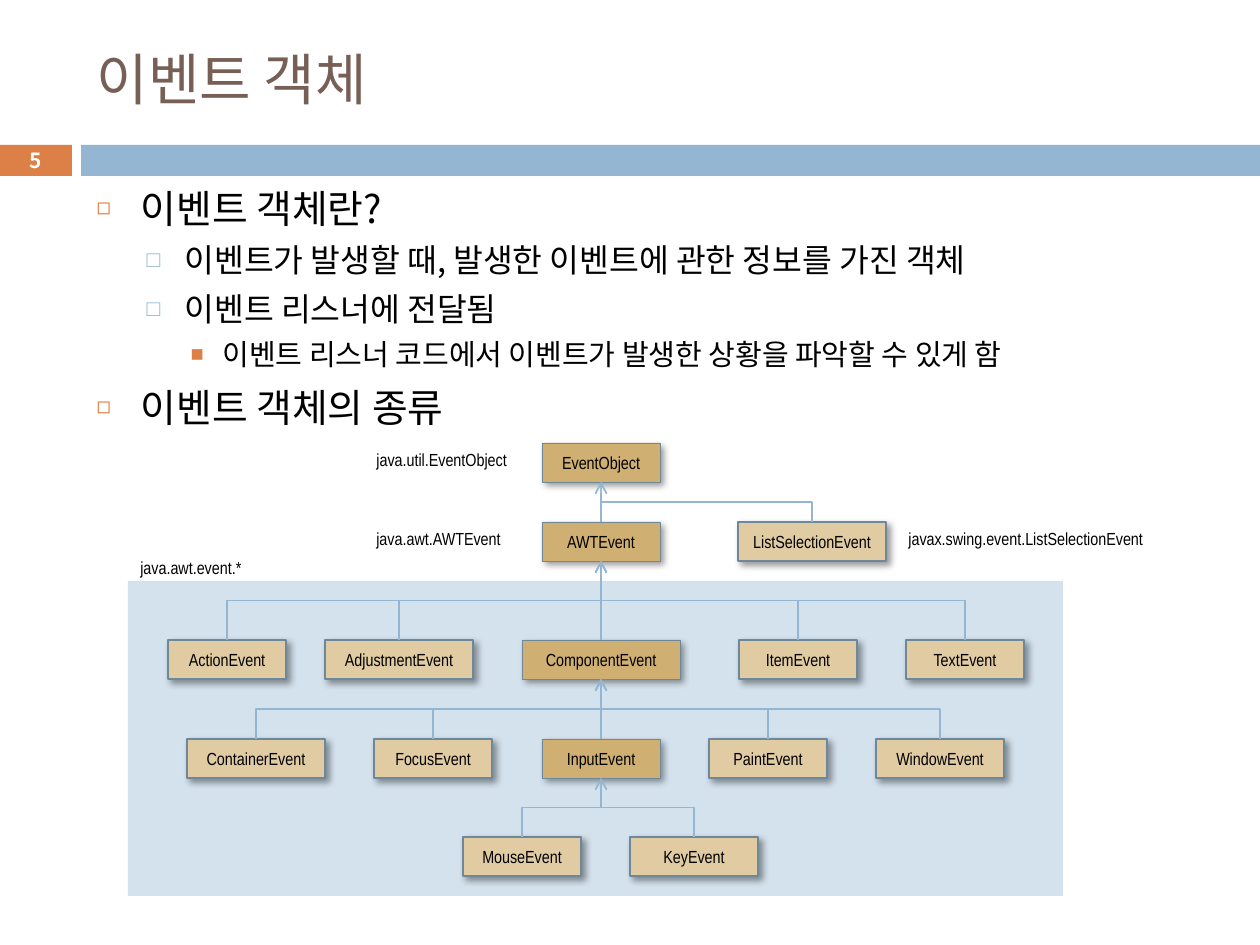
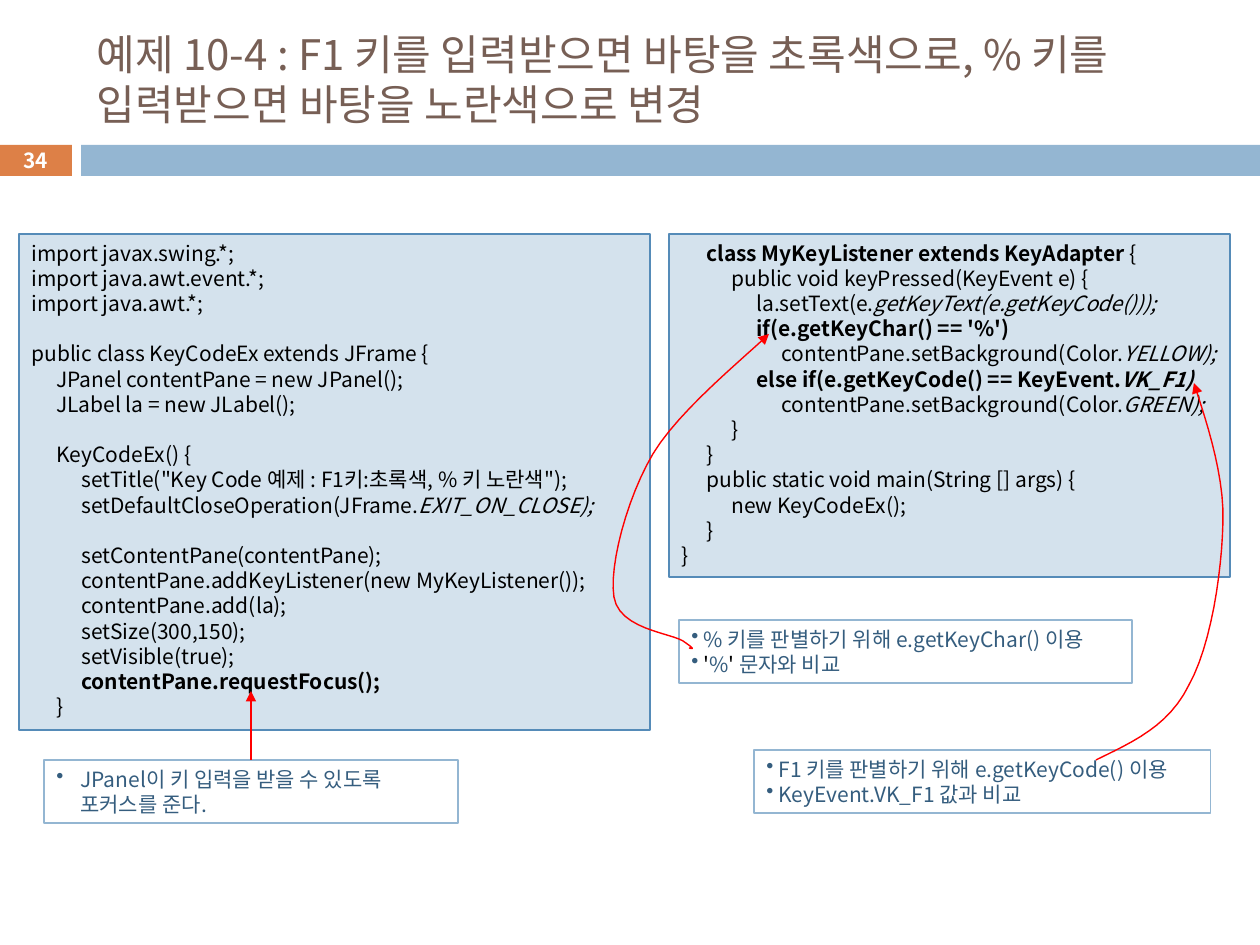
from dataclasses import dataclass

from lxml.etree import SubElement
from pptx import Presentation
from pptx.dml.color import RGBColor as RGB
from pptx.enum.shapes import MSO_CONNECTOR as LINK, MSO_SHAPE as SHAPE
from pptx.enum.text import MSO_ANCHOR as ANCHOR, MSO_AUTO_SIZE as FIT, PP_ALIGN as ALIGN
from pptx.oxml.ns import qn
from pptx.util import Pt

PX = 7257


@dataclass(frozen=True)
class Theme:
    sans: str = "Noto Sans CJK KR"
    narrow: str = "Arial Narrow"
    title: str = "775F55"
    text: str = "000000"
    white: str = "FFFFFF"
    orange: str = "DD8047"
    blue: str = "94B6D2"
    pale: str = "D4E2ED"
    code_edge: str = "558BB8"
    note: str = "355D7E"
    parent: str = "D0AF72"
    leaf: str = "E0CBA3"
    node_edge: str = "6D879B"
    red: str = "FF0000"
    number_size: float = 11.9
    node_size: float = 10
    code_size: float = 12
    list_sizes: tuple = (22.2, 18.5, 16.6)


T = Theme()


def box(s, x, y, w, h, fill=None, line=None, weight=0.75):
    sp = s.shapes.add_shape(SHAPE.RECTANGLE, x * PX, y * PX, w * PX, h * PX)
    sp.shadow.inherit = False
    if fill:
        sp.fill.solid()
        sp.fill.fore_color.rgb = RGB.from_string(fill)
    else:
        sp.fill.background()
    if line:
        sp.line.color.rgb = RGB.from_string(line)
        sp.line.width = Pt(weight)
    else:
        sp.line.fill.background()
    return sp


def write(p, runs, size, color=T.text, font=T.sans, align=ALIGN.LEFT):
    p.alignment = align
    p.line_spacing = Pt(size * 1.2)
    for text, style, *own in runs:
        r = p.add_run()
        r.text = text
        r.font.name = font
        r.font.size = Pt(size)
        r.font.bold = "b" in style
        r.font.italic = "i" in style
        r.font.color.rgb = RGB.from_string(own[0] if own else color)
        SubElement(r.font._element, qn("a:ea")).set("typeface", font)


prs = Presentation()
prs.slide_width = 1260 * PX
prs.slide_height = 945 * PX
arrows = []

pages = [
    (1, "5", "이벤트 객체", 32),
    (5, "34", "예제 10-4 : F1 키를 입력받으면 바탕을 초록색으로, % 키를 입력받으면 바탕을 노란색으로 변경", 24),
]
slides = []
for layout, number, title, size in pages:
    s = prs.slides.add_slide(prs.slide_layouts[layout])
    slides.append(s)
    sp = box(s, 0, 145, 72, 31, T.orange)
    write(sp.text_frame.paragraphs[0], [(number, "b")], T.number_size, T.white, align=ALIGN.CENTER)
    box(s, 81, 145, 1179, 31, T.blue)
    sp = s.shapes.title
    sp.left, sp.top, sp.width, sp.height = 84 * PX, 32 * PX, 1124 * PX, 93 * PX
    tf = sp.text_frame
    tf.auto_size = FIT.NONE
    tf.vertical_anchor = ANCHOR.MIDDLE
    write(tf.paragraphs[0], [(title, "")], size, T.title)

tree_slide, code_slide = slides

s = tree_slide
box(s, 128, 581, 935, 315, T.pale)
sp = s.placeholders[1]
sp.left, sp.top, sp.width, sp.height = 84 * PX, 178 * PX, 1124 * PX, 237 * PX
tf = sp.text_frame
tf.auto_size = FIT.NONE
bullet_levels = [
    (44, 44, 7, "◻", T.orange, 60),
    (88, 38, 5.5, "□", T.blue, 70),
    (126, 32, 5, "■", T.orange, 75),
]
topics = [
    (0, "이벤트 객체란?"),
    (1, "이벤트가 발생할 때, 발생한 이벤트에 관한 정보를 가진 객체"),
    (1, "이벤트 리스너에 전달됨"),
    (2, "이벤트 리스너 코드에서 이벤트가 발생한 상황을 파악할 수 있게 함"),
    (0, "이벤트 객체의 종류"),
]
for i, (level, text) in enumerate(topics):
    p = tf.add_paragraph() if i else tf.paragraphs[0]
    left, hang, before, mark, color, percent = bullet_levels[level]
    p.level = level
    p.space_before = Pt(before)
    write(p, [(text, "")], T.list_sizes[level])
    pPr = p._p.get_or_add_pPr()
    pPr.set("marL", str(left * PX))
    pPr.set("indent", str(-hang * PX))
    SubElement(SubElement(pPr, qn("a:buClr")), qn("a:srgbClr")).set("val", color)
    SubElement(pPr, qn("a:buSzPct")).set("val", str(percent * 1000))
    SubElement(pPr, qn("a:buChar")).set("char", mark)

NODE_H = 39
rows = [443, 522, 640, 739, 837]
nodes = [
    ("EventObject", 601, 0, 118, None),
    ("AWTEvent", 601, 1, 118, "EventObject"),
    ("ListSelectionEvent", 812, 1, 148, "EventObject"),
    ("ActionEvent", 227, 2, 118, "AWTEvent"),
    ("AdjustmentEvent", 399, 2, 148, "AWTEvent"),
    ("ComponentEvent", 601, 2, 158, "AWTEvent"),
    ("ItemEvent", 798, 2, 118, "AWTEvent"),
    ("TextEvent", 965, 2, 118, "AWTEvent"),
    ("ContainerEvent", 256, 3, 138, "ComponentEvent"),
    ("FocusEvent", 433, 3, 118, "ComponentEvent"),
    ("InputEvent", 601, 3, 118, "ComponentEvent"),
    ("PaintEvent", 768, 3, 118, "ComponentEvent"),
    ("WindowEvent", 940, 3, 128, "ComponentEvent"),
    ("MouseEvent", 522, 4, 118, "InputEvent"),
    ("KeyEvent", 694, 4, 128, "InputEvent"),
]
parents = {node[4] for node in nodes}
centers = {name: (cx, rows[row]) for name, cx, row, w, parent in nodes}
for name, cx, row, w, parent in nodes:
    fill, weight = (T.parent, 0.25) if name in parents else (T.leaf, 1.5)
    sp = box(s, cx - w // 2, rows[row], w, NODE_H, fill, T.node_edge, weight)
    shadow = SubElement(sp._element.spPr.find(qn("a:effectLst")), qn("a:outerShdw"))
    for key, value in (("blurRad", Pt(4)), ("dist", Pt(3)), ("dir", 45 * 60000)):
        shadow.set(key, str(value))
    tint = SubElement(shadow, qn("a:srgbClr"))
    tint.set("val", "000000")
    SubElement(tint, qn("a:alpha")).set("val", "40000")
    write(sp.text_frame.paragraphs[0], [(name, "")], T.node_size, font=T.narrow, align=ALIGN.CENTER)

for name, cx, row, w, parent in nodes:
    if not parent:
        continue
    top = rows[row] * PX
    to_x, to_y = centers[parent][0] * PX, (centers[parent][1] + NODE_H) * PX
    x = cx * PX
    if x == to_x:
        link = s.shapes.add_connector(LINK.STRAIGHT, x, top, to_x, to_y)
    else:
        mid_x, mid_y = (x + to_x) // 2, (top + to_y) // 2
        half_w, half_h = (top - to_y) // 2, abs(x - to_x) // 2
        side = 1 if x < to_x else -1
        link = s.shapes.add_connector(
            LINK.ELBOW, mid_x + side * half_w, mid_y + half_h, mid_x - side * half_w, mid_y - half_h)
        turn = 90 if x < to_x else 270
        link._element.spPr.find(qn("a:xfrm")).set("rot", str(turn * 60000))
    arrows.append((link, T.blue, "arrow"))

packages = [
    ("java.util.EventObject", 364, 443, 157),
    ("java.awt.AWTEvent", 364, 522, 151),
    ("java.awt.event.*", 128, 551, 127),
    ("javax.swing.event.ListSelectionEvent", 896, 522, 262),
]
for text, x, y, w in packages:
    tf = s.shapes.add_textbox(x * PX, y * PX, w * PX, 34 * PX).text_frame
    tf.word_wrap = False
    write(tf.paragraphs[0], [(text, "")], T.node_size, font=T.narrow)

s = code_slide
left_code = [
    (0, 0, [("import javax.swing.*;", "")]),
    (0, 0, [("import java.awt.event.*;", "")]),
    (0, 0, [("import java.awt.*;", "")]),
    (0, 1, [("public class KeyCodeEx extends JFrame {", "")]),
    (1, 0, [("JPanel contentPane = new JPanel();", "")]),
    (1, 0, [("JLabel la = new JLabel();", "")]),
    (1, 1, [("KeyCodeEx() {", "")]),
    (2, 0, [('setTitle("Key Code 예제 : F1키:초록색, % 키 노란색");', "")]),
    (2, 0, [("setDefaultCloseOperation(JFrame.", ""), ("EXIT_ON_CLOSE);", "i")]),
    (2, 1, [("setContentPane(contentPane);", "")]),
    (2, 0, [("contentPane.addKeyListener(new MyKeyListener());", "")]),
    (2, 0, [("contentPane.add(la);", "")]),
    (2, 0, [("setSize(300,150);", "")]),
    (2, 0, [("setVisible(true);", "")]),
    (2, 0, [("contentPane.requestFocus();", "b")]),
    (1, 0, [("}", "")]),
]
right_code = [
    (1, 0, [("class MyKeyListener extends KeyAdapter ", "b"), ("{", "")]),
    (2, 0, [("public void keyPressed(KeyEvent e) {", "")]),
    (3, 0, [("la.setText(e.", ""), ("getKeyText(e.getKeyCode()));", "i")]),
    (3, 0, [("if(e.getKeyChar() == '%')", "b")]),
    (4, 0, [("contentPane.setBackground(Color.", ""), ("YELLOW);", "i")]),
    (3, 0, [("else if(e.getKeyCode() == KeyEvent.", "b"), ("VK_F1)", "bi")]),
    (4, 0, [("contentPane.setBackground(Color.", ""), ("GREEN);", "i")]),
    (2, 0, [("}", "")]),
    (1, 0, [("}", "")]),
    (1, 0, [("public static void main(String [] args) {", "")]),
    (2, 0, [("new KeyCodeEx();", "")]),
    (1, 0, [("}", "")]),
    (0, 0, [("}", "")]),
]
for x, w, h, lines in ((669, 561, 343, right_code), (19, 631, 496, left_code)):
    tf = box(s, x, 234, w, h, T.pale, T.code_edge).text_frame
    tf.vertical_anchor = ANCHOR.TOP
    tf.margin_right = 0
    for i, (level, gap, runs) in enumerate(lines):
        p = tf.add_paragraph() if i else tf.paragraphs[0]
        p.space_before = Pt(gap * T.code_size * 1.2)
        write(p, runs, T.code_size)
        p._p.get_or_add_pPr().set("marL", str(level * 25 * PX))

notes = [
    (679, 620, 453, 0, [
        [(" % 키를 판별하기 위해 e.getKeyChar() 이용", "")],
        [(" ", ""), ("'", "", T.text), ("%", ""), ("' ", "", T.text), ("문자와 비교", "")],
    ]),
    (754, 750, 457, 0, [
        [(" F1 키를 판별하기 위해 e.getKeyCode() 이용", "")],
        [(" KeyEvent.VK_F1 값과 비교", "")],
    ]),
    (44, 760, 414, 24, [[("JPanel이 키 입력을 받을 수 있도록 포커스를 준다.", "")]]),
]
for x, y, w, hang, lines in notes:
    tf = box(s, x, y, w, 63, line=T.blue).text_frame
    tf.vertical_anchor = ANCHOR.TOP
    for i, runs in enumerate(lines):
        p = tf.add_paragraph() if i else tf.paragraphs[0]
        write(p, runs, T.code_size, T.note)
        pPr = p._p.get_or_add_pPr()
        pPr.set("marL", str(hang * PX))
        pPr.set("indent", str(-hang * PX))
        SubElement(pPr, qn("a:buChar")).set("char", "•")

link = s.shapes.add_connector(LINK.STRAIGHT, 251 * PX, 760 * PX, 251 * PX, 691 * PX)
arrows.append((link, T.red, "triangle"))

STEPS = 12
curves = [
    [(689, 648), (693, 649), (696, 650), (683, 641), (670, 633), (619, 629), (614, 597),
     (609, 566), (627, 498), (653, 454), (679, 410), (750, 353), (769, 334)],
    [(1096, 760), (1133, 742), (1169, 726), (1189, 685), (1211, 646), (1222, 572), (1223, 522),
     (1225, 471), (1201, 406), (1194, 383)],
]
for knots in curves:
    points = []
    for k in range(0, len(knots) - 1, 3):
        for step in range(1, STEPS + 1):
            t = step / STEPS
            weights = ((1 - t) ** 3, 3 * t * (1 - t) ** 2, 3 * t * t * (1 - t), t ** 3)
            points.append(tuple(
                round(PX * sum(f * knot[axis] for f, knot in zip(weights, knots[k:k + 4])))
                for axis in (0, 1)))
    pen = s.shapes.build_freeform(knots[0][0] * PX, knots[0][1] * PX)
    pen.add_line_segments(points, close=False)
    sp = pen.convert_to_shape()
    sp.fill.background()
    arrows.append((sp, T.red, "triangle"))

for sp, color, head in arrows:
    sp.line.color.rgb = RGB.from_string(color)
    sp.line.width = Pt(0.79)
    SubElement(sp.line._get_or_add_ln(), qn("a:tailEnd")).set("type", head)
    SubElement(sp._element.spPr, qn("a:effectLst"))

prs.save("out.pptx")
